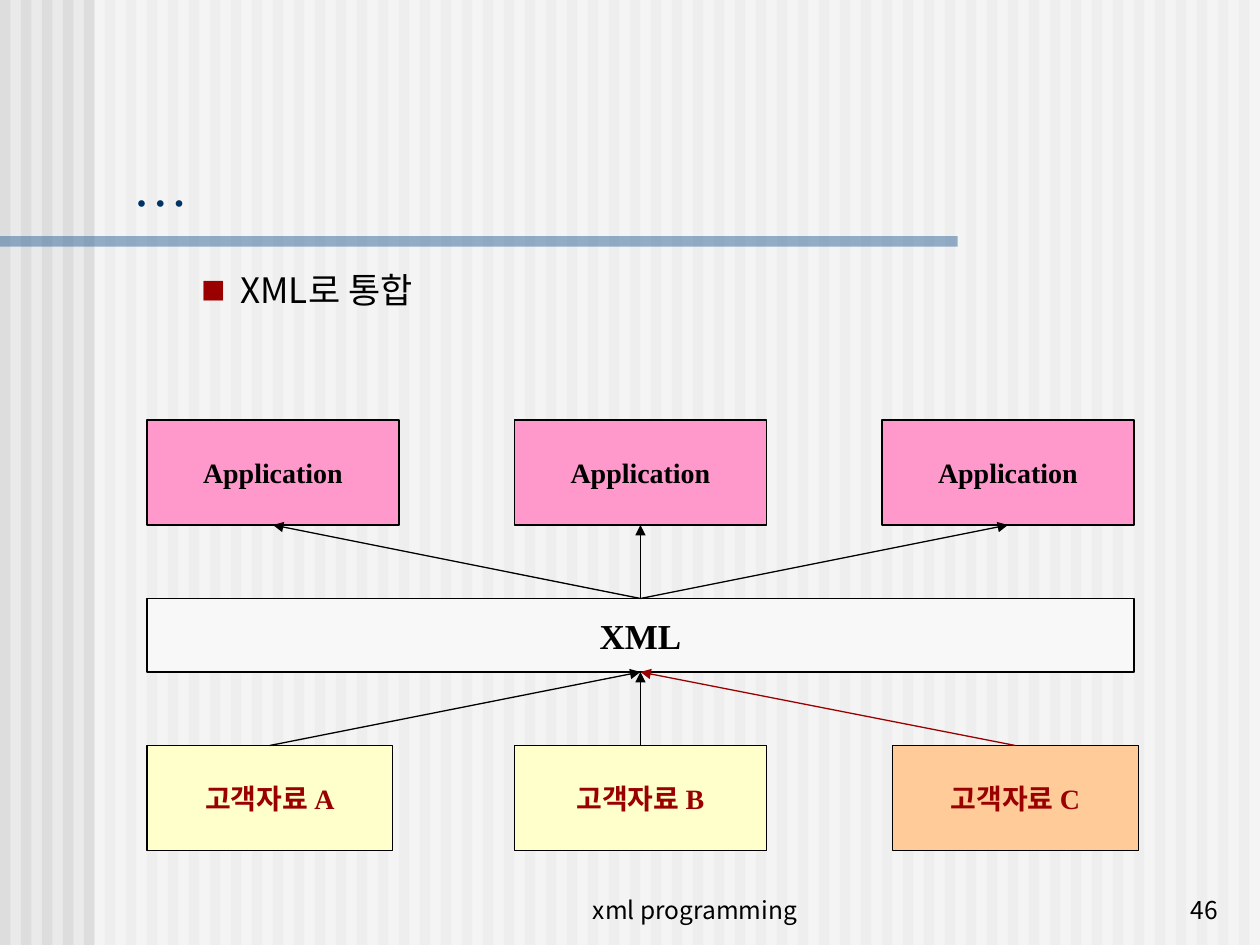
from dataclasses import dataclass
from pptx import Presentation
from pptx import util as u
from pptx.dml import color
from pptx.enum import shapes, text
from pptx.oxml import ns, xmlchemy


@dataclass(frozen=True)
class Theme:
    sans: str = "Noto Sans CJK KR"
    serif: str = "Times New Roman"
    back: str = "EAEAEA"
    stripe: str = "DDDDDD"
    veil: str = "FFFFFF"
    rule: str = "336699"
    navy: str = "003366"
    black: str = "000000"
    red: str = "9A0000"
    pink: str = "FF99CC"
    cream: str = "FFFFCC"
    peach: str = "FFCC99"
    pale: str = "F8F8F8"
    head: int = 32
    large: int = 20
    label: int = 16
    small: int = 14
    line: float = 0.75


T = Theme()
PX = 7620
WIDE, HIGH = 1200, 900
TITLE = "…"
ITEM = "XML로 통합"
APPS = [("Application", 140, 240), ("Application", 490, 240), ("Application", 840, 240)]
HUB = ("XML", 140, 570, 940, 70)
DATA = [
    ("고객자료 A", 140, 234, T.cream, T.black),
    ("고객자료 B", 490, 240, T.cream, T.black),
    ("고객자료 C", 850, 234, T.peach, T.red),
]
FOOT = [
    ("xml programming", 472, 380, text.PP_ALIGN.CENTER),
    ("46", 922, 250, text.PP_ALIGN.RIGHT),
]
APP_TOP, DATA_TOP, BOX_HIGH = 400, 710, 100
TOP, BOTTOM = 0, 2


def rgb(tone):
    return color.RGBColor.from_string(tone)


def emu(*vals):
    return [v * PX for v in vals]


def add(root, tag, **attrs):
    node = xmlchemy.OxmlElement(tag)
    for key, val in attrs.items():
        node.set(key, str(val))
    root.append(node)
    return node


def style(frame, words, face, size, tone, align, bold=False):
    frame.text = words
    para = frame.paragraphs[0]
    para.alignment = align
    font = para.runs[0].font
    font.name, font.size, font.bold = face, u.Pt(size), bold
    font.color.rgb = rgb(tone)
    add(para.runs[0].font._element, "a:ea", typeface=T.sans)
    return para


def rect(slide, x, y, w, h, fill, alpha=None):
    box = slide.shapes.add_shape(shapes.MSO_SHAPE.RECTANGLE, *emu(x, y, w, h))
    box.shadow.inherit = False
    box.fill.solid()
    box.fill.fore_color.rgb = rgb(fill)
    box.line.fill.background()
    if alpha:
        tint = box._element.spPr.find(".//" + ns.qn("a:srgbClr"))
        add(tint, "a:alpha", val=alpha * 1000)
    return box


def node(slide, words, x, y, w, h, fill, tone, size=T.label):
    box = rect(slide, x, y, w, h, fill)
    box.line.color.rgb = rgb(T.black)
    box.line.width = u.Pt(T.line)
    frame = box.text_frame
    frame.word_wrap = False
    frame.vertical_anchor = text.MSO_ANCHOR.MIDDLE
    style(frame, words, T.serif, size, tone, text.PP_ALIGN.CENTER, True)
    return box


def arrow(slide, start, end, tone):
    link = slide.shapes.add_connector(shapes.MSO_CONNECTOR.STRAIGHT, 0, 0, 0, 0)
    link.begin_connect(start, TOP)
    link.end_connect(end, BOTTOM)
    link.line.color.rgb = rgb(tone)
    link.line.width = u.Pt(T.line)
    add(link.line._get_or_add_ln(), "a:tailEnd", type="triangle")
    add(link._element.spPr, "a:effectLst")


def place(slide, box, *area):
    box.left, box.top, box.width, box.height = emu(*area)
    slide.shapes._spTree.append(box._element)
    return box.text_frame


def backdrop(slide):
    slide.background.fill.solid()
    slide.background.fill.fore_color.rgb = rgb(T.back)
    for x in range(0, WIDE, 20):
        rect(slide, x, 0, 10, HIGH, T.stripe)
    rect(slide, 90, 0, WIDE - 90, HIGH, T.veil, 50)
    rect(slide, 0, 225, 912, 10, T.rule, 50)


def copy_text(slide):
    left = text.PP_ALIGN.LEFT
    title, body = slide.placeholders
    frame = place(slide, title, 114, 113, 1072, 100)
    frame.vertical_anchor = text.MSO_ANCHOR.BOTTOM
    style(frame, TITLE, T.serif, T.head, T.navy, left)
    frame = place(slide, body, 120, 250, 1064, 550)
    para = style(frame, ITEM, T.sans, T.large, T.black, left)
    para.level = 1
    para.space_before = u.Pt(0)
    props = para._p.get_or_add_pPr()
    props.set("marL", str(97 * PX))
    props.set("indent", str(-37 * PX))
    add(add(props, "a:buClr"), "a:srgbClr", val=T.red)
    add(props, "a:buSzPct", val=70000)
    add(props, "a:buFont", typeface=T.sans)
    add(props, "a:buChar", char="■")
    for words, x, w, align in FOOT:
        frame = slide.shapes.add_textbox(*emu(x, 826, w, 60)).text_frame
        frame.word_wrap = True
        frame.vertical_anchor = text.MSO_ANCHOR.BOTTOM
        style(frame, words, T.sans, T.small, T.black, align)


def diagram(slide):
    apps = [node(slide, words, x, APP_TOP, w, BOX_HIGH, T.pink, T.black)
            for words, x, w in APPS]
    data = [node(slide, words, x, DATA_TOP, w, BOX_HIGH, fill, T.red)
            for words, x, w, fill, tone in DATA]
    hub = node(slide, *HUB, T.pale, T.black, T.large)
    for box, row in zip(data, DATA):
        arrow(slide, box, hub, row[-1])
    for box in apps:
        arrow(slide, hub, box, T.black)


def main():
    deck = Presentation()
    deck.slide_width, deck.slide_height = emu(WIDE, HIGH)
    slide = deck.slides.add_slide(deck.slide_layouts[1])
    backdrop(slide)
    copy_text(slide)
    diagram(slide)
    deck.save("out.pptx")


if __name__ == "__main__":
    main()
